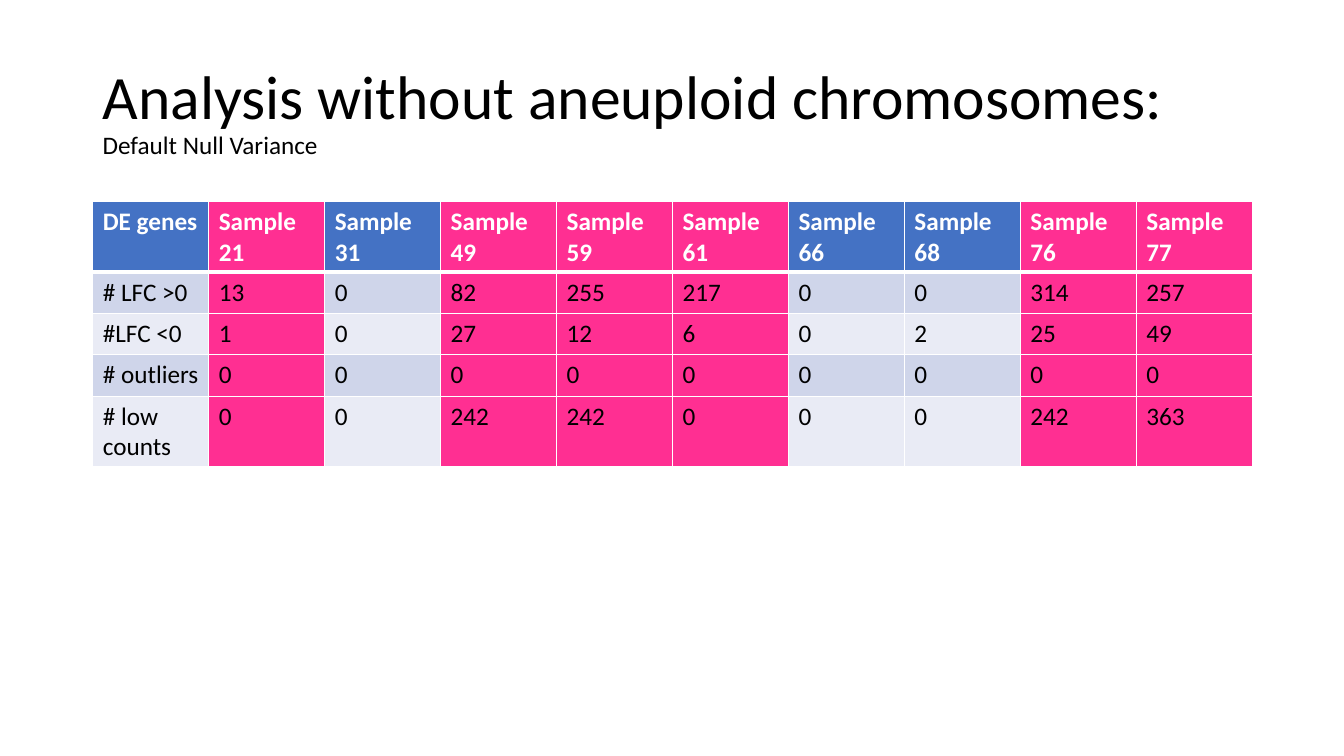
import pptx
import pptx.dml.color
import pptx.enum.text
import pptx.oxml
import pptx.oxml.ns
import pptx.util
from pptx.util import Inches

PINK, BLUE, WHITE, BLACK = "FF2F92", "4472C4", "FFFFFF", "000000"
BANDS = ("CFD5EA", "E9EBF5")
HIGHLIGHTED_SAMPLES = {21, 49, 59, 61, 76, 77}
SAMPLES = (21, 31, 49, 59, 61, 66, 68, 76, 77)
GENE_COUNTS = {
    "# LFC >0": (13, 0, 82, 255, 217, 0, 0, 314, 257),
    "#LFC <0": (1, 0, 27, 12, 6, 0, 2, 25, 49),
    "# outliers": (0, 0, 0, 0, 0, 0, 0, 0, 0),
    "# low counts": (0, 0, 242, 242, 0, 0, 0, 242, 363),
}
TITLE_FORMAT = {"name": "Calibri", "size": pptx.util.Pt(44), "bold": False}
HEADER_FORMAT = {"name": "Calibri", "size": pptx.util.Pt(18), "bold": True}
BODY_FORMAT = {**HEADER_FORMAT, "bold": False}


def rgb(value):
    """Return the colour for a hex string."""
    return pptx.dml.color.RGBColor.from_string(value)


def format_font(font, settings, color):
    """Apply format values and a colour to a font."""
    for attribute, value in settings.items():
        setattr(font, attribute, value)
    font.color.rgb = rgb(color)


def add_title(slide, text):
    """Add the slide heading."""
    heading = slide.shapes.add_textbox(Inches(0.92), Inches(0.4), Inches(11.5), Inches(1.45))
    frame = heading.text_frame
    frame.word_wrap = True
    frame.vertical_anchor = pptx.enum.text.MSO_ANCHOR.MIDDLE
    frame.text = text
    paragraph = frame.paragraphs[0]
    paragraph.line_spacing = 0.9
    format_font(paragraph.runs[0].font, TITLE_FORMAT, BLACK)


def set_borders(cell, widths):
    """Draw white cell borders with the given point widths by side."""
    properties = cell._tc.get_or_add_tcPr()
    namespace = pptx.oxml.ns.nsdecls("a")
    for position, (side, width) in enumerate(widths.items()):
        border = pptx.oxml.parse_xml(
            f'<a:ln{side} {namespace} w="{pptx.util.Pt(width)}"><a:solidFill>'
            f'<a:srgbClr val="{WHITE}"/></a:solidFill></a:ln{side}>'
        )
        properties.insert(position, border)


def fill_cell(cell, text, row, highlighted):
    """Write and style one table cell according to its row and sample."""
    is_header = row == 0
    cell.text = str(text)
    format_font(
        cell.text_frame.paragraphs[0].runs[0].font,
        HEADER_FORMAT if is_header else BODY_FORMAT,
        WHITE if is_header else BLACK,
    )
    base = BLUE if is_header else BANDS[(row - 1) % 2]
    cell.fill.solid()
    cell.fill.fore_color.rgb = rgb(PINK if highlighted else base)
    set_borders(cell, {"L": 1, "R": 1, "T": 3 if row == 1 else 1, "B": 3 if is_header else 1})


def add_gene_table(slide):
    """Add the table of differentially expressed genes by sample."""
    rows = [("DE genes", *(f"Sample {sample}" for sample in SAMPLES))]
    rows += [(label, *counts) for label, counts in GENE_COUNTS.items()]
    highlights = [False, *(sample in HIGHLIGHTED_SAMPLES for sample in SAMPLES)]
    row_height = Inches(0.41)
    gene_table = slide.shapes.add_table(
        len(rows), len(highlights), Inches(0.92), Inches(2), Inches(11.5), row_height * len(rows)
    ).table
    for row, values in enumerate(rows):
        for column, (value, highlighted) in enumerate(zip(values, highlights)):
            fill_cell(gene_table.cell(row, column), value, row, highlighted)


def main():
    """Build and save the slide."""
    presentation = pptx.Presentation()
    presentation.slide_width = Inches(13.33)
    presentation.slide_height = Inches(7.5)
    slide = presentation.slides.add_slide(presentation.slide_layouts[6])
    add_title(slide, "Analysis without aneuploid chromosomes: \vDefault Null Variance")
    add_gene_table(slide)
    presentation.save("out.pptx")


if __name__ == "__main__":
    main()
